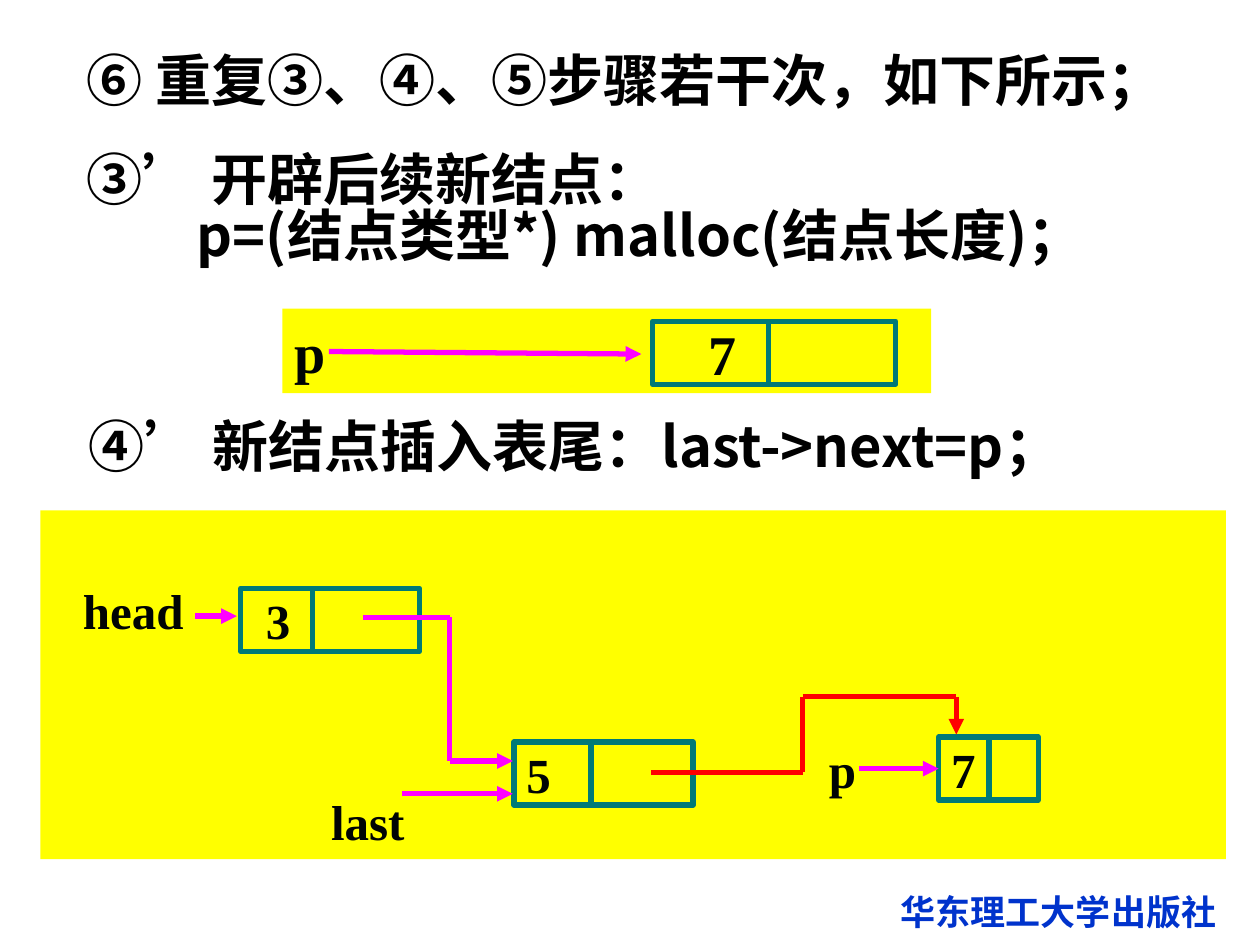
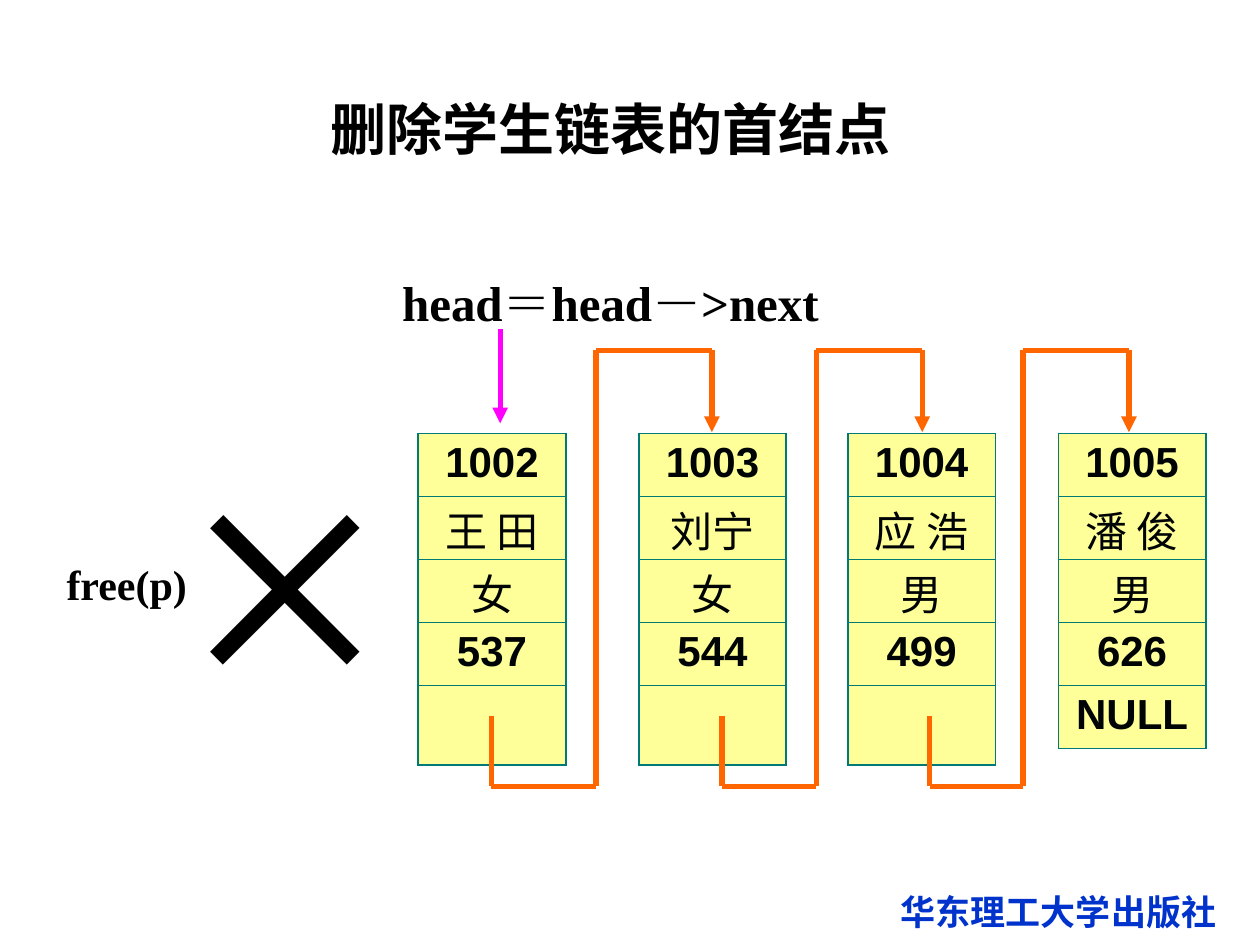
import itertools

import pptx
import pptx.util
import pptx.dml.color
import pptx.enum.shapes
import pptx.enum.text
import pptx.oxml.ns
from lxml import etree

Inches = pptx.util.Inches
Pt = pptx.util.Pt
RGBColor = pptx.dml.color.RGBColor
ALIGN = pptx.enum.text.PP_ALIGN
ANCHOR = pptx.enum.text.MSO_ANCHOR
qn = pptx.oxml.ns.qn

BLACK = RGBColor(0x00, 0x00, 0x00)
INK = RGBColor(0x00, 0x04, 0x04)
BLUE = RGBColor(0x00, 0x33, 0xCC)
YELLOW = RGBColor(0xFF, 0xFF, 0x00)
CREAM = RGBColor(0xFF, 0xFF, 0x99)
TEAL = RGBColor(0x00, 0x7A, 0x77)
MAGENTA = RGBColor(0xFF, 0x00, 0xFF)
RED = RGBColor(0xFF, 0x00, 0x00)
ORANGE = RGBColor(0xFF, 0x66, 0x00)

CJK = "Noto Sans CJK SC"
SERIF = "Times New Roman"
SANS = "Arial"
CJK_LINE = 0.83
CJK_TOP = 0.09


def write(p, text, size=32, font=CJK, color=BLACK, bold=True, align=ALIGN.LEFT):
    p.alignment = align
    if font == CJK:
        p.line_spacing = CJK_LINE
    r = p.add_run()
    r.text = text
    r.font.size = Pt(size)
    r.font.name = font
    r.font.bold = bold
    r.font.color.rgb = color
    ea = etree.SubElement(r.font._element, qn("a:ea"))
    ea.set("typeface", font)


def add_text(s, box, *lines, aligns=(ALIGN.LEFT,), **fmt):
    tf = s.shapes.add_textbox(*map(Inches, box)).text_frame
    tf.word_wrap = True
    if fmt.get("font", CJK) == CJK:
        tf.margin_top, tf.margin_bottom = Inches(CJK_TOP), Inches(0.01)
    for i, (line, align) in enumerate(zip(lines, aligns)):
        p = tf.add_paragraph() if i else tf.paragraphs[0]
        write(p, line, align=align, **fmt)


def add_label(s, x, y, text, size=28, width=1.2):
    add_text(s, (x, y, width, 0.57), text, size=size, font=SERIF, color=INK)


def add_rect(s, box, line=None):
    sp = s.shapes.add_shape(pptx.enum.shapes.MSO_SHAPE.RECTANGLE, *map(Inches, box))
    sp.shadow.inherit = False
    sp.fill.solid()
    sp.fill.fore_color.rgb = YELLOW
    if line is None:
        sp.line.fill.background()
    else:
        sp.line.color.rgb = line
        sp.line.width = Pt(3)
    return sp


def add_line(s, start, end, color, arrow=False):
    c = s.shapes.add_connector(
        pptx.enum.shapes.MSO_CONNECTOR.STRAIGHT, *map(Inches, (*start, *end)))
    c.line.color.rgb = color
    c.line.width = Pt(3)
    if arrow:
        etree.SubElement(c.line._get_or_add_ln(), qn("a:tailEnd"), type="triangle")
    etree.SubElement(c._element.spPr, qn("a:effectLst"))
    return c


def add_route(s, points, color, arrow=True):
    pairs = list(itertools.pairwise(points))
    for i, (start, end) in enumerate(pairs, 1):
        c = add_line(s, start, end, color, arrow and i == len(pairs))
    return c


def add_node(s, box, split, value, indent=0.1, size=28):
    x, y, w, h = box
    sp = add_rect(s, box, TEAL)
    tf = sp.text_frame
    tf.word_wrap = True
    tf.vertical_anchor = ANCHOR.MIDDLE
    tf.margin_left = Inches(indent)
    write(tf.paragraphs[0], value, size=size, font=SERIF, color=INK)
    add_line(s, (x + split, y), (x + split, y + h), TEAL)
    return sp


def add_footer(s):
    add_text(s, (7.05, 7.02, 2.91, 0.44), "华东理工大学出版社",
             size=20, font="Lato", color=BLUE)


def new_node_panel(s, x, y, w, h):
    add_rect(s, (x, y, w, h))
    add_label(s, x, y + 0.02, "p", size=32, width=0.6)
    add_line(s, (x + 0.37, y + 0.34), (x + 2.85, y + 0.36), MAGENTA, True)
    add_node(s, (x + 2.94, y + 0.1, 1.93, 0.5), 0.92, "7", indent=0.44, size=32)


def append_panel(s, x, y, w, h):
    add_rect(s, (x, y, w, h))

    def at(*offsets):
        return [(x + dx, y + dy) for dx, dy in offsets]

    add_node(s, (x + 1.59, y + 0.62, 1.42, 0.5), 0.57, "3", indent=0.2)
    add_node(s, (x + 3.76, y + 1.84, 1.42, 0.5), 0.61, "5")
    tail = add_node(s, (x + 7.13, y + 1.8, 0.79, 0.5), 0.4, "7")
    for dx, dy, text in ((0.24, 0.51, "head"), (2.21, 2.18, "last"), (6.16, 1.77, "p")):
        add_label(s, x + dx, y + dy, text)
    add_route(s, at((1.23, 0.84), (1.56, 0.84)), MAGENTA)
    add_route(s, at((2.56, 0.85), (3.25, 0.85), (3.25, 1.99), (3.75, 1.99)), MAGENTA)
    add_route(s, at((2.87, 2.25), (3.75, 2.25)), MAGENTA)
    to_tail = add_route(s, at((6.5, 2.05), (7.13, 2.05)), MAGENTA)
    to_tail.end_connect(tail, 1)
    add_route(s, at((4.85, 2.08), (6.05, 2.08), (6.05, 1.48), (7.27, 1.48),
                    (7.27, 1.78)), RED)


def append_slide(prs):
    s = prs.slides.add_slide(prs.slide_layouts[6])
    add_footer(s)
    add_text(s, (0.59, 0.36, 9, 0.64), "⑥ 重复③、④、⑤步骤若干次，如下所示；")
    add_text(s, (0.59, 1.15, 8.98, 1.17), "③’ 开辟后续新结点：",
             "p=(结点类型*) malloc(结点长度)；", aligns=(ALIGN.LEFT, ALIGN.CENTER))
    new_node_panel(s, 2.24, 2.45, 5.15, 0.67)
    add_text(s, (0.6, 3.27, 8.42, 0.64), "④’ 新结点插入表尾：last->next=p；")
    append_panel(s, 0.32, 4.05, 9.41, 2.77)


def set_borders(cell, first, last):
    tcPr = cell._tc.get_or_add_tcPr()
    widths = {"L": 1.08, "R": 1.08, "T": 1.08 if first else 0.45,
              "B": 1.08 if last else 0.45}
    for i, (side, width) in enumerate(widths.items()):
        ln = etree.Element(qn(f"a:ln{side}"), w=str(int(Pt(width))))
        fill = etree.SubElement(ln, qn("a:solidFill"))
        etree.SubElement(fill, qn("a:srgbClr"), val=str(TEAL))
        tcPr.insert(i, ln)


def student_table(s, x, y, w, fields):
    rows = len(fields)
    heights = [0.5] * (rows - 1) + [0.5 if fields[-1] else 0.63]
    table = s.shapes.add_table(rows, 1, *map(Inches, (x, y, w, sum(heights)))).table
    table.first_row = table.horz_banding = False
    table.columns[0].width = Inches(w)
    for i, (text, height) in enumerate(zip(fields, heights)):
        table.rows[i].height = Inches(height)
        cell = table.cell(i, 0)
        cell.fill.solid()
        cell.fill.fore_color.rgb = CREAM
        set_borders(cell, i == 0, i == rows - 1)
        latin = text.isascii()
        if not latin:
            cell.margin_top, cell.margin_bottom = Inches(0.08), Inches(0.01)
        if text:
            write(cell.text_frame.paragraphs[0], text, size=24, color=INK, bold=latin,
                  font=SANS if latin else CJK, align=ALIGN.CENTER)


def student_list(s, y, w):
    students = [
        (3.32, ("1002", "王 田", "女", "537", "")),
        (5.07, ("1003", "刘宁", "女", "544", "")),
        (6.73, ("1004", "应 浩", "男", "499", "")),
        (8.4, ("1005", "潘 俊", "男", "626", "NULL")),
    ]
    for x, fields in students:
        student_table(s, x, y, w, fields)
    top, bottom = y - 0.66, y + 2.8
    for start, rise, end in ((3.9, 4.73, 5.65), (5.73, 6.48, 7.32), (7.38, 8.12, 8.96)):
        add_route(s, [(start, y + 2.24), (start, bottom), (rise, bottom), (rise, top),
                      (end, top), (end, y - 0.01)], ORANGE)


def delete_slide(prs):
    s = prs.slides.add_slide(prs.slide_layouts[6])
    add_footer(s)
    centred = (ALIGN.CENTER,)
    add_text(s, (2.09, 0.75, 5.51, 0.64), "删除学生链表的首结点", aligns=centred)
    student_list(s, 3.44, 1.17)
    add_text(s, (2.56, 2.11, 4.57, 0.57), "head＝head－>next",
             aligns=centred, size=28, font=SERIF)
    add_line(s, (3.97, 2.61), (3.97, 3.36), MAGENTA, True)
    add_text(s, (0.68, 2.69, 3.17, 3.6), "×",
             aligns=centred, size=210, font=SERIF, bold=False)
    add_text(s, (0.43, 4.38, 1.17, 0.5), "free(p)", size=24, font=SERIF)


def main():
    prs = pptx.Presentation()
    prs.slide_width, prs.slide_height = Inches(10), Inches(7.5)
    append_slide(prs)
    delete_slide(prs)
    prs.save("out.pptx")


if __name__ == "__main__":
    main()
